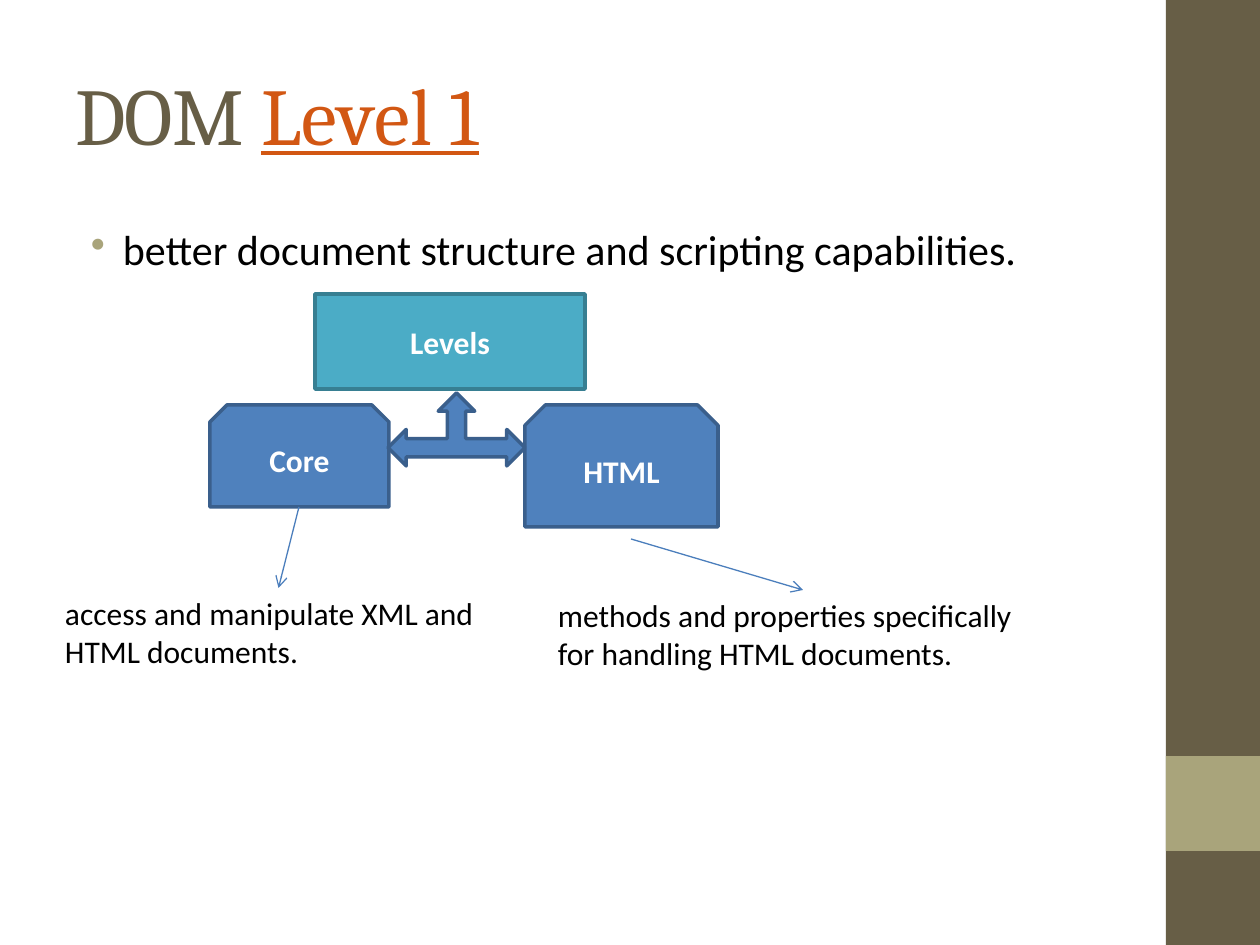
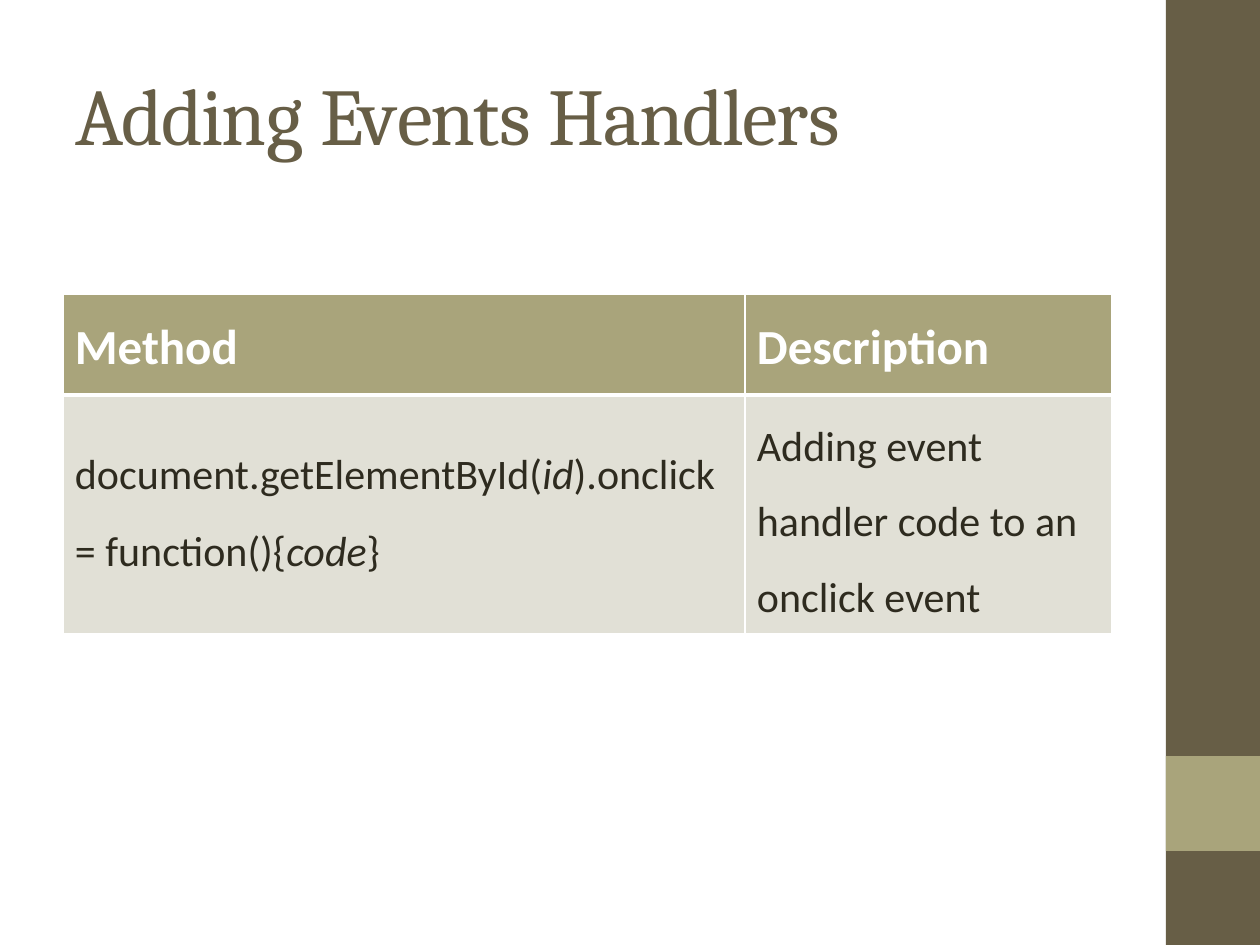
import pptx
import pptx.util
import pptx.dml.color
import pptx.enum.shapes
import pptx.enum.text
import pptx.oxml
import pptx.oxml.ns

EMU_PER_PX = 914400 / 126
SLIDE_WIDTH, SLIDE_HEIGHT = 1260, 945
BAND_LEFT, BAND_WIDTH = 1166, 94
ACCENT_TOP, ACCENT_HEIGHT = 756, 95

OLIVE = "675E46"
SAGE = "A9A47B"
PALE_SAGE = "E1E0D6"
RUST = "D25713"
BLUE, BLUE_EDGE = "4F81BD", "3A5F8C"
TEAL, TEAL_EDGE = "4BACC6", "377F92"
ARROW_BLUE = "4B7EBC"
DARK_INK, BLACK, WHITE = "2E2B1F", "000000", "FFFFFF"

SHAPES = pptx.enum.shapes.MSO_SHAPE
ANCHORS = pptx.enum.text.MSO_ANCHOR
CENTER = pptx.enum.text.PP_ALIGN.CENTER
MARGINS = ("margin_left", "margin_top", "margin_right", "margin_bottom")

TITLE_FONT = {"name": "Cambria", "size": pptx.util.Pt(46), "color": OLIVE}
BODY_FONT = {"name": "Calibri", "size": pptx.util.Pt(24), "color": BLACK}
CAPTION_FONT = BODY_FONT | {"size": pptx.util.Pt(18)}
LABEL_FONT = CAPTION_FONT | {"bold": True, "color": WHITE}
HEADER_FONT = LABEL_FONT | {"size": pptx.util.Pt(28)}
CELL_FONT = BODY_FONT | {"bold": False, "color": DARK_INK}
LINK = {"color": RUST, "underline": True}
ITALIC = {"italic": True}


def px(length):
    return pptx.util.Emu(round(length * EMU_PER_PX))


def rgb(color):
    return pptx.dml.color.RGBColor.from_string(color)


def set_attributes(target, values):
    for name, value in values.items():
        setattr(target, name, value)


def append_xml(parent, xml):
    namespaces = pptx.oxml.ns.nsdecls("a")
    parent.append(pptx.oxml.parse_xml(xml.replace(" ", f" {namespaces} ", 1)))


def add_run(paragraph, text, font_values):
    run = paragraph.add_run()
    run.text = text
    values = dict(font_values)
    run.font.color.rgb = rgb(values.pop("color"))
    spacing = values.pop("spacing", None)
    if spacing is not None:
        run._r.get_or_add_rPr().set("spc", str(round(spacing * 100)))
    set_attributes(run.font, values)


def add_text_box(slide, box, margins=(12, 6, 12, 6), wrap=True):
    frame_shape = slide.shapes.add_textbox(*map(px, box))
    frame = frame_shape.text_frame
    frame.word_wrap = wrap
    set_attributes(frame, dict(zip(MARGINS, map(px, margins))))
    return frame_shape


def add_block(slide, kind, box, fill, edge=None, label=""):
    shape = slide.shapes.add_shape(kind, *map(px, box))
    shape.shadow.inherit = False
    shape.fill.solid()
    shape.fill.fore_color.rgb = rgb(fill)
    if edge:
        shape.line.color.rgb = rgb(edge)
        shape.line.width = pptx.util.Pt(2)
    else:
        shape.line.fill.background()
    if label:
        shape.text_frame.vertical_anchor = ANCHORS.MIDDLE
        paragraph = shape.text_frame.paragraphs[0]
        paragraph.alignment = CENTER
        add_run(paragraph, label, LABEL_FONT)
    return shape


def add_caption(slide, box, text):
    caption = add_text_box(slide, box)
    add_run(caption.text_frame.paragraphs[0], text, CAPTION_FONT)
    return caption


def add_arrow(slide, start, caption):
    x, y = map(px, start)
    connector = slide.shapes.add_connector(
        pptx.enum.shapes.MSO_CONNECTOR.STRAIGHT, x, y, x, y)
    connector.end_connect(caption, 0)
    connector.line.color.rgb = rgb(ARROW_BLUE)
    connector.line.width = pptx.util.Pt(0.75)
    append_xml(connector.line._get_or_add_ln(), '<a:tailEnd type="arrow"/>')
    append_xml(connector._element.spPr, "<a:effectLst />")


def add_bullet(slide, box, text):
    paragraph = add_text_box(slide, box, (0, 11, 0, 0)).text_frame.paragraphs[0]
    properties = paragraph._p.get_or_add_pPr()
    properties.set("marL", str(px(33)))
    properties.set("indent", str(px(-32)))
    append_xml(properties, f'<a:buClr ><a:srgbClr val="{SAGE}"/></a:buClr>')
    append_xml(properties, '<a:buChar char="•"/>')
    add_run(paragraph, text, BODY_FONT)


def add_titled_slide(presentation, title_width, title_runs):
    slide = presentation.slides.add_slide(presentation.slide_layouts[6])
    add_block(slide, SHAPES.RECTANGLE, (BAND_LEFT, 0, BAND_WIDTH, SLIDE_HEIGHT), OLIVE)
    add_block(slide, SHAPES.RECTANGLE,
              (BAND_LEFT, ACCENT_TOP, BAND_WIDTH, ACCENT_HEIGHT), SAGE)
    title = add_text_box(slide, (75, 64, title_width, 100), (1, 1, 0, 0), wrap=False)
    for text, spacing, *extra in title_runs:
        values = TITLE_FONT | {"spacing": spacing}
        for changes in extra:
            values |= changes
        add_run(title.text_frame.paragraphs[0], text, values)
    return slide


def set_borders(cell, widths):
    properties = cell._tc.get_or_add_tcPr()
    for side, width in widths.items():
        append_xml(properties,
                   f'<a:ln{side} w="{pptx.util.Pt(width)}"><a:solidFill>'
                   f'<a:srgbClr val="{WHITE}"/></a:solidFill></a:ln{side}>')


def fill_cell(cell, top_margin, paragraphs, font_values, fill, borders):
    set_attributes(cell, dict(zip(MARGINS, map(px, (12, top_margin, 0, 0)))))
    cell.vertical_anchor = ANCHORS.TOP
    set_borders(cell, borders)
    cell.fill.solid()
    cell.fill.fore_color.rgb = rgb(fill)
    for index, runs in enumerate(paragraphs):
        frame = cell.text_frame
        paragraph = frame.add_paragraph() if index else frame.paragraphs[0]
        if index:
            paragraph.space_before = pptx.util.Pt(14.4)
        for text, changes in runs:
            add_run(paragraph, text, font_values | changes)


def add_method_table(slide):
    column_widths, row_heights = (682, 367), (101, 239)
    table = slide.shapes.add_table(
        2, 2, px(63), px(294), px(sum(column_widths)), px(sum(row_heights))).table
    for column, width in zip(table.columns, column_widths):
        column.width = px(width)
    for row, height in zip(table.rows, row_heights):
        row.height = px(height)

    header_borders = {"L": 1, "R": 1, "T": 1, "B": 3}
    body_borders = {"L": 1, "R": 1, "T": 3, "B": 1}
    for column, heading in enumerate(("Method", "Description")):
        fill_cell(table.cell(0, column), 24, [[(heading, {})]],
                  HEADER_FONT, SAGE, header_borders)

    method = [
        [("document.getElementById(", {}), ("id", ITALIC), (").onclick", {})],
        [("= function(){", {}), ("code", ITALIC), ("}", {})],
    ]
    description = [[("Adding event handler code to an onclick event", {})]]
    fill_cell(table.cell(1, 0), 55, method, CELL_FONT, PALE_SAGE, body_borders)
    description_cell = table.cell(1, 1)
    fill_cell(description_cell, 2, description, CELL_FONT, PALE_SAGE, body_borders)
    description_cell.text_frame.paragraphs[0].line_spacing = pptx.util.Pt(43.2)


def build_levels_slide(presentation):
    slide = add_titled_slide(presentation, 419, [
        ("DO", -1.1), ("M ", -0.1), ("L", -1, LINK), ("e", -1.5, LINK),
        ("v", -1.9, LINK), ("e", -1.1, LINK), ("l", -0.1, LINK),
        (" ", -2.2, LINK), ("1", -0.1, LINK)])
    add_bullet(slide, (90, 213, 989, 242),
               "better document structure and scripting capabilities.")
    add_block(slide, SHAPES.RECTANGLE, (315, 294, 270, 95), TEAL, TEAL_EDGE, "Levels")
    for label, box in (("Core", (210, 405, 179, 102)), ("HTML", (525, 405, 193, 122))):
        add_block(slide, SHAPES.SNIP_2_SAME_RECTANGLE, box, BLUE, BLUE_EDGE, label)
    add_block(slide, SHAPES.LEFT_RIGHT_UP_ARROW, (388, 393, 137, 73), BLUE, BLUE_EDGE)
    for text, box, arrow_start in (
            ("access and manipulate XML and HTML documents.",
             (53, 588, 451, 89), (299, 507)),
            ("methods and properties specifically for handling HTML documents.",
             (546, 590, 514, 89), (631, 539))):
        add_arrow(slide, arrow_start, add_caption(slide, box, text))


def build_handlers_slide(presentation):
    slide = add_titled_slide(presentation, 791, [
        ("Addin", -1.1), ("g ", -0.1), ("Ev", -1.9), ("ent", -1.1),
        ("s ", -0.1), ("Handler", -1), ("s", -0.1)])
    add_method_table(slide)


def main():
    presentation = pptx.Presentation()
    presentation.slide_width = px(SLIDE_WIDTH)
    presentation.slide_height = px(SLIDE_HEIGHT)
    build_levels_slide(presentation)
    build_handlers_slide(presentation)
    presentation.save("out.pptx")


if __name__ == "__main__":
    main()
